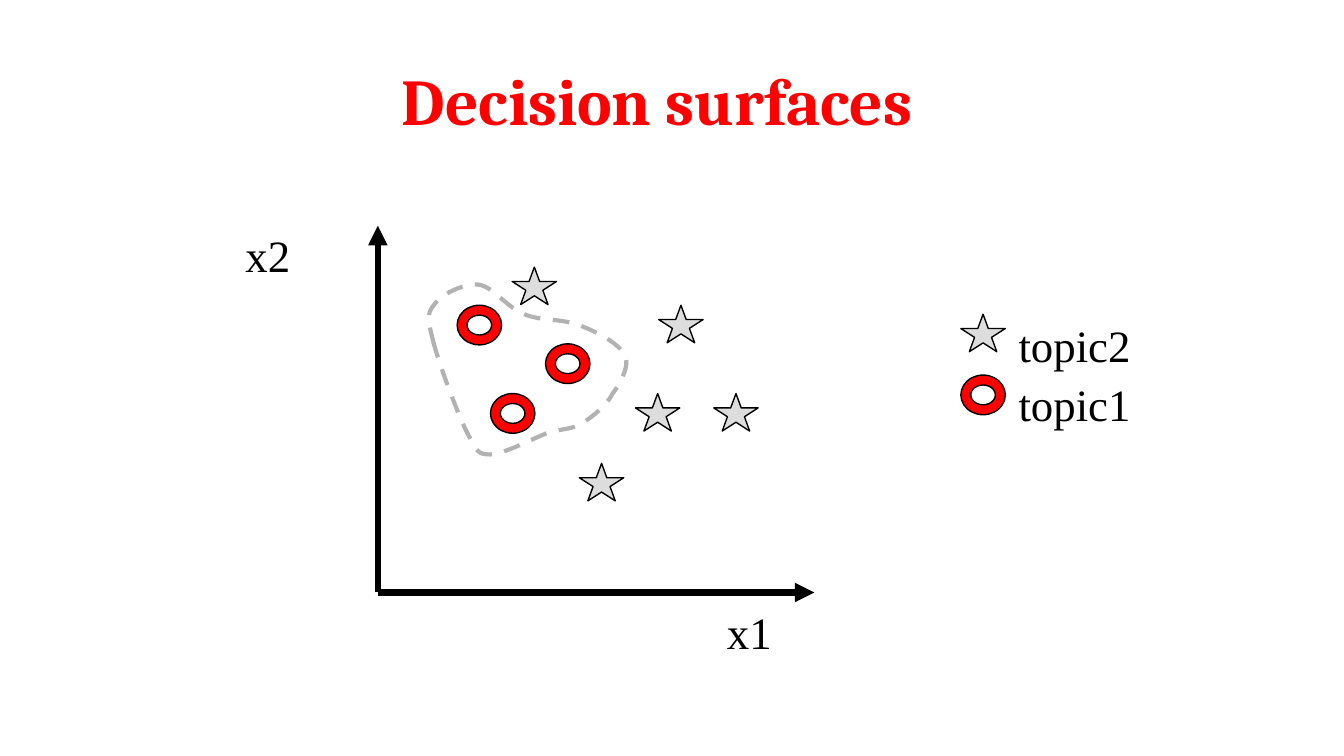
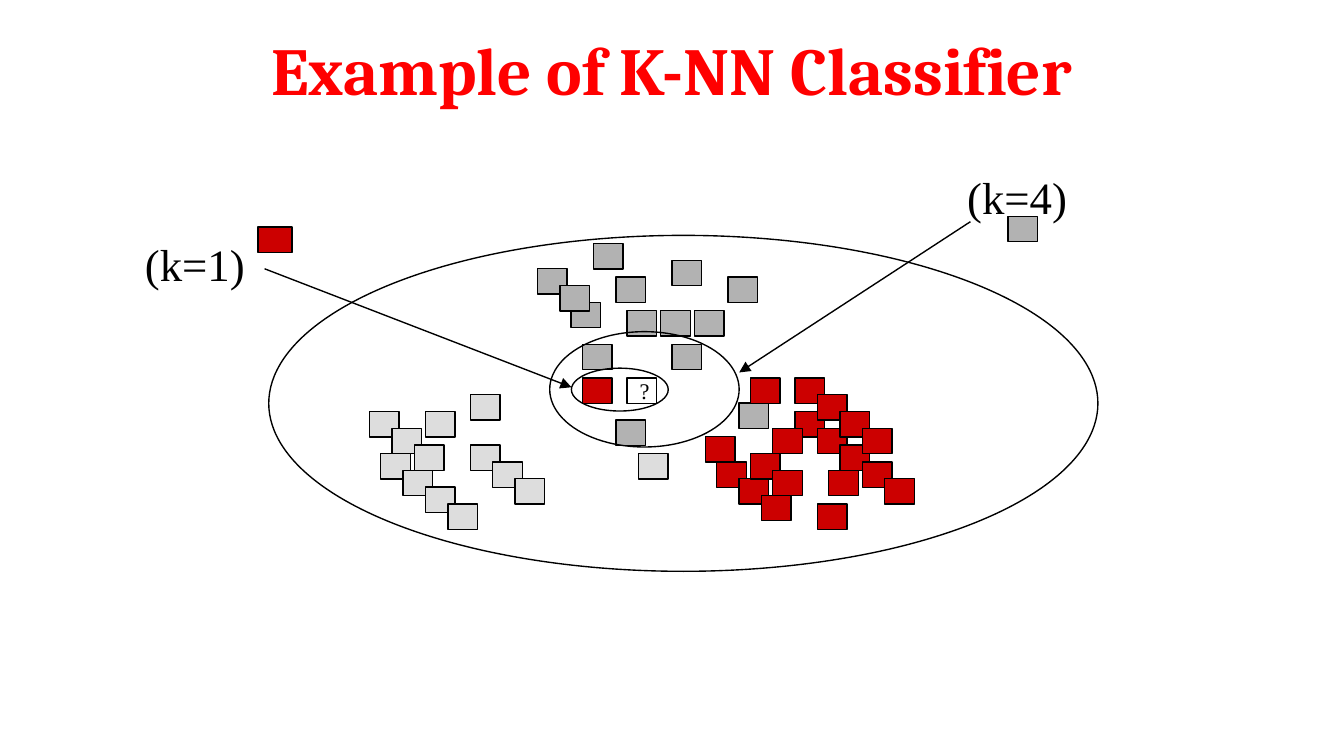
from dataclasses import dataclass
from typing import Optional

from lxml import etree
from pptx import Presentation
from pptx import util as u
from pptx.dml import color
from pptx.enum import dml, shapes, text
from pptx.oxml import ns

BLACK, RED, DARK_RED = "000000", "FF0000", "CC0000"
GRAY, LIGHT_GRAY = "B2B2B2", "DDDDDD"
TITLE_FONT, BODY_FONT = "Cambria", "Times New Roman"
Point = tuple[float, float]


@dataclass
class Box:
    """A rectangle on the slide, in centimetres."""
    left: float
    top: float
    width: float
    height: float

    def lengths(self) -> list[u.Length]:
        """Return left, top, width and height as lengths."""
        return [u.Cm(v) for v in (self.left, self.top, self.width, self.height)]


@dataclass
class Label:
    """A line of text and the box that holds it."""
    words: str
    box: Box
    inset: float = 0.24


@dataclass
class Arrow:
    """A straight line with a head at its end."""
    start: Point
    end: Point
    weight: float = 0.75


@dataclass
class Cluster:
    """Equal squares of one colour, placed by column and row."""
    fill: str
    cells: list[tuple[int, int]]


def rgb(value: str) -> color.RGBColor:
    """Turn a hex string into a colour."""
    return color.RGBColor.from_string(value)


def format_text(shape, size: float, font: str, fill: str, bold: bool = False) -> None:
    """Format every run of a shape."""
    for paragraph in shape.text_frame.paragraphs:
        for run in paragraph.runs:
            run.font.size, run.font.name, run.font.bold = u.Pt(size), font, bold
            run.font.color.rgb = rgb(fill)


def style_shape(shape, fill: Optional[str], line: str = BLACK, weight: float = 0.75) -> None:
    """Set fill and outline and drop the shadow."""
    shape.shadow.inherit = False
    if fill:
        shape.fill.solid()
        shape.fill.fore_color.rgb = rgb(fill)
    else:
        shape.fill.background()
    shape.line.color.rgb = rgb(line)
    shape.line.width = u.Pt(weight)


def add_titled_slide(presentation, title: str, box: Box, size: float):
    """Add a slide with a red centred title."""
    slide = presentation.slides.add_slide(presentation.slide_layouts[5])
    shape = slide.shapes.title
    shape.left, shape.top, shape.width, shape.height = box.lengths()
    frame = shape.text_frame
    frame.text = title
    frame.auto_size = text.MSO_AUTO_SIZE.NONE
    frame.vertical_anchor = text.MSO_ANCHOR.TOP
    frame.margin_top = u.Cm(0.05)
    frame.paragraphs[0].alignment = text.PP_ALIGN.CENTER
    format_text(shape, size, TITLE_FONT, RED, bold=True)
    return slide


def add_preset(slide, kind: shapes.MSO_SHAPE, box: Box, fill: Optional[str] = None):
    """Add a preset shape with a thin black outline."""
    shape = slide.shapes.add_shape(kind, *box.lengths())
    style_shape(shape, fill)
    return shape


def add_label(slide, label: Label) -> None:
    """Add a one-line label."""
    shape = slide.shapes.add_textbox(*label.box.lengths())
    shape.text_frame.text = label.words
    shape.text_frame.word_wrap = False
    shape.text_frame.margin_top = u.Cm(label.inset)
    format_text(shape, 24, BODY_FONT, BLACK)


def add_arrow(slide, arrow: Arrow) -> None:
    """Add a black connector ending in a triangle."""
    ends = [u.Cm(v) for v in (*arrow.start, *arrow.end)]
    connector = slide.shapes.add_connector(shapes.MSO_CONNECTOR.STRAIGHT, *ends)
    connector.line.color.rgb = rgb(BLACK)
    connector.line.width = u.Pt(arrow.weight)
    etree.SubElement(connector.line._get_or_add_ln(), ns.qn("a:tailEnd"), type="triangle")
    etree.SubElement(connector._element.spPr, ns.qn("a:effectLst"))


def trace_curve(start: Point, curves: list[tuple[float, ...]], steps: int = 12) -> list[Point]:
    """Return points along a chain of cubic curves."""
    points = [start]
    for x1, y1, x2, y2, x3, y3 in curves:
        x0, y0 = points[-1]
        for step in range(1, steps + 1):
            t = step / steps
            a, b, c, d = (1 - t) ** 3, 3 * t * (1 - t) ** 2, 3 * t * t * (1 - t), t ** 3
            points.append((a * x0 + b * x1 + c * x2 + d * x3,
                           a * y0 + b * y1 + c * y2 + d * y3))
    return points


def add_boundary(slide, points: list[Point]) -> None:
    """Draw a closed dashed outline."""
    vertices = [(u.Cm(x), u.Cm(y)) for x, y in points]
    builder = slide.shapes.build_freeform(*vertices[0])
    builder.add_line_segments(vertices[1:], close=True)
    shape = builder.convert_to_shape()
    style_shape(shape, None, GRAY, 2.25)
    shape.line.dash_style = dml.MSO_LINE.DASH


def cell_box(column: int, row: int) -> Box:
    """Place a square on a grid of 12 columns and 16 rows to the inch."""
    return Box(column * 2.54 / 12, row * 2.54 / 16, 0.56, 0.48)


BOUNDARY_START = (8.2, 6.5)
BOUNDARY_CURVES = [
    (8.1, 6.1, 8.05, 5.94, 8.2, 5.77),
    (8.33, 5.56, 8.76, 5.36, 9.04, 5.38),
    (9.32, 5.41, 9.58, 5.82, 9.91, 5.94),
    (10.21, 6.07, 10.64, 6.02, 10.95, 6.15),
    (11.28, 6.27, 11.68, 6.48, 11.81, 6.71),
    (11.91, 6.91, 11.73, 7.24, 11.58, 7.44),
    (11.46, 7.67, 11.18, 7.9, 10.95, 8.03),
    (10.74, 8.13, 10.59, 8.1, 10.31, 8.2),
    (10.03, 8.31, 9.5, 8.59, 9.27, 8.59),
    (9.02, 8.59, 9.02, 8.53, 8.84, 8.2),
    (8.66, 7.85, 8.31, 6.91, 8.2, 6.5),
]
ORIGIN = (7.14, 11.2)
AXES = [Arrow(ORIGIN, (7.14, 4.27), 3.5), Arrow(ORIGIN, (15.39, 11.2), 3.5)]
STARS = [(9.68, 5.05), (12.01, 7.44), (13.49, 7.44), (12.45, 5.77),
         (10.95, 8.76), (18.16, 5.94)]
RINGS = [(18.16, 7.09), (10.31, 6.5), (9.27, 7.44), (8.64, 5.77)]
PLOT_LABELS = [
    Label("x1", Box(13.49, 11.2, 1.37, 1.52)),
    Label("x2", Box(4.39, 4.06, 1.37, 1.52)),
    Label("topic2", Box(19, 5.77, 2.64, 1.52)),
    Label("topic1", Box(19, 6.88, 2.64, 1.52)),
]

CLUSTERS = [
    Cluster(LIGHT_GRAY, [
        (33, 49), (34, 54), (42, 53), (38, 49), (36, 56), (35, 51), (44, 55),
        (42, 47), (38, 58), (37, 53), (46, 57), (57, 54), (40, 60)]),
    Cluster(GRAY, [
        (62, 37), (48, 32), (53, 29), (51, 36), (50, 34), (60, 31), (52, 41),
        (65, 33), (59, 37), (55, 33), (56, 37), (55, 50), (60, 41), (66, 48)]),
    Cluster(DARK_RED, [
        (67, 45), (63, 52), (71, 49), (71, 45), (64, 55), (52, 45), (69, 51),
        (73, 51), (73, 47), (66, 57), (75, 53), (67, 54), (74, 56), (75, 49),
        (68, 59), (69, 56), (77, 55), (77, 51), (73, 60), (79, 57)]),
]
ALL_POINTS = Box(5.08, 4.45, 15.67, 6.35)
NEIGHBOURHOODS = [Box(10.8, 6.96, 1.83, 0.81), Box(10.39, 6.27, 3.58, 2.18)]
RESULTS = [(DARK_RED, Box(4.88, 4.29, 0.64, 0.48)), (GRAY, Box(19.05, 4.09, 0.56, 0.48))]
K_LABELS = [
    Label("(k=1)", Box(2.49, 3.23, 2.41, 3.33), 1.24),
    Label("(k=4)", Box(18.03, 1.96, 2.64, 3.33), 1.24),
]
K_ARROWS = [Arrow((5, 5.08), (10.8, 7.32)), Arrow((18.34, 4.19), (13.97, 7.04))]


def build_surfaces(presentation) -> None:
    """Build the slide with two topics and the line between them."""
    slide = add_titled_slide(presentation, "Decision surfaces",
                             Box(0.71, 1.09, 23.42, 1.96), 35)
    add_boundary(slide, trace_curve(BOUNDARY_START, BOUNDARY_CURVES))
    for axis in AXES:
        add_arrow(slide, axis)
    for left, top in STARS:
        add_preset(slide, shapes.MSO_SHAPE.STAR_5_POINT, Box(left, top, 0.84, 0.71), LIGHT_GRAY)
    for left, top in RINGS:
        add_preset(slide, shapes.MSO_SHAPE.DONUT, Box(left, top, 0.84, 0.75), RED)
    for label in PLOT_LABELS:
        add_label(slide, label)


def add_query(slide) -> None:
    """Add the square that is to be classified."""
    query = add_preset(slide, shapes.MSO_SHAPE.RECTANGLE, cell_box(56, 45))
    frame = query.text_frame
    frame.text = "?"
    frame.word_wrap = False
    frame.vertical_anchor = text.MSO_ANCHOR.MIDDLE
    frame.margin_left = u.Cm(0.1)
    frame.margin_right = frame.margin_top = frame.margin_bottom = 0
    frame.paragraphs[0].alignment = text.PP_ALIGN.CENTER
    format_text(query, 12, BODY_FONT, BLACK)


def build_neighbours(presentation) -> None:
    """Build the slide with three clusters and two neighbourhoods."""
    slide = add_titled_slide(presentation, "Example of K-NN Classifier",
                             Box(1.9, 0.48, 21.59, 2.39), 36)
    add_query(slide)
    add_preset(slide, shapes.MSO_SHAPE.OVAL, ALL_POINTS)
    for cluster in CLUSTERS:
        for column, row in cluster.cells:
            add_preset(slide, shapes.MSO_SHAPE.RECTANGLE, cell_box(column, row), cluster.fill)
    for fill, box in RESULTS:
        add_preset(slide, shapes.MSO_SHAPE.RECTANGLE, box, fill)
    for ring, label, arrow in zip(NEIGHBOURHOODS, K_LABELS, K_ARROWS):
        add_preset(slide, shapes.MSO_SHAPE.OVAL, ring)
        add_label(slide, label)
        add_arrow(slide, arrow)


def main() -> None:
    """Build and save the presentation."""
    presentation = Presentation()
    presentation.slide_width, presentation.slide_height = u.Cm(25.4), u.Cm(14.29)
    build_surfaces(presentation)
    build_neighbours(presentation)
    presentation.save("out.pptx")


main()
